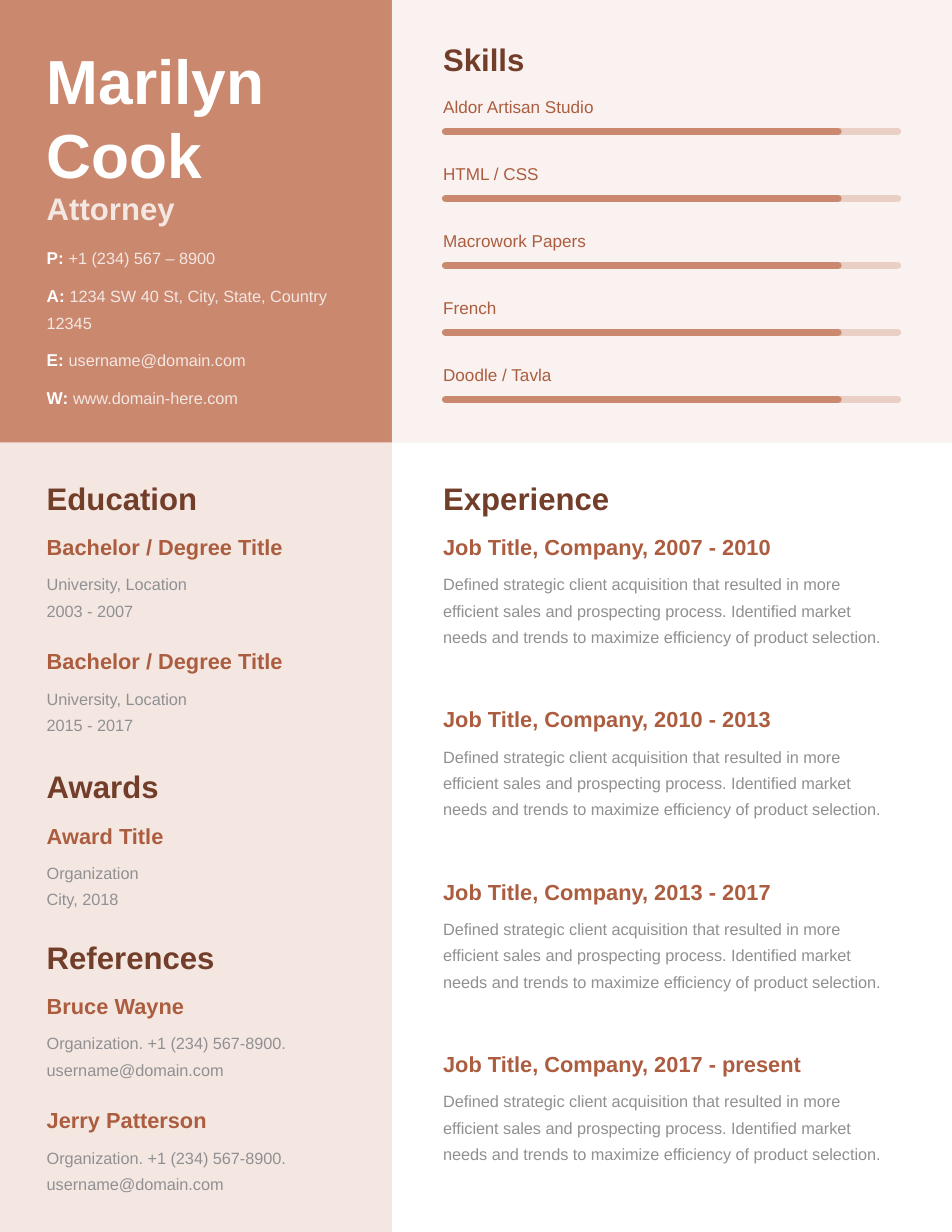
"""Build a one-page attorney résumé with contact, skill, history and reference panels."""
from lxml.etree import SubElement
from pptx import Presentation
from pptx.dml.color import RGBColor
from pptx.enum.shapes import MSO_CONNECTOR, MSO_SHAPE
from pptx.enum.text import MSO_ANCHOR as Anchor, MSO_AUTO_SIZE as AutoSize, PP_ALIGN as Align
from pptx.oxml.ns import qn
from pptx.util import Cm, Pt

COLORS = {
    "white": "FFFFFF", "clay": "CA886F", "sand": "F4E7E2", "track": "EACFC5",
    "brown": "723E2A", "rust": "AC5D3F", "gray": "909092",
}
FONT = "Arial"
PAGE_W, PAGE_H = 21.59, 27.94
SIDE_W, TOP_H = 8.89, 10.04
LEFT_X, LEFT_W = 1.06, 6.78
RIGHT_X, RIGHT_W = 10.05, 10.36
HEADING_H, HEADING_STEP = 0.86, 1.25

PANELS = [
    (0, 0, SIDE_W, TOP_H, "clay", None),
    (0, TOP_H, SIDE_W, PAGE_H - TOP_H, "sand", None),
    (SIDE_W, 0, PAGE_W - SIDE_W, TOP_H, "sand", 50),
]
PERSON = "Marilyn Cook"
CONTACTS = [
    ("P: ", "+1 (234) 567 – 8900", 1),
    ("A: ", "1234 SW 40 St, City, State, Country 12345", 2),
    ("E: ", "username@domain.com", 1),
    ("W: ", "www.domain-here.com", 1),
]
SKILLS = ["Aldor Artisan Studio", "HTML / CSS", "Macrowork Papers", "French", "Doodle / Tavla"]
DUTIES = ("Defined strategic client acquisition that resulted in more efficient sales and "
          "prospecting process. Identified market needs and trends to maximize efficiency "
          "of product selection.")
REFERENCE = "Organization. +1 (234) 567-8900. username@domain.com"
PERIODS = ["2007 - 2010", "2010 - 2013", "2013 - 2017", "2017 - present"]

HEADINGS = [
    ("Attorney", LEFT_X, 4.29, 3.23, "sand"),
    ("Skills", RIGHT_X, 0.91, 2.01, "brown"),
    ("Education", LEFT_X, 10.85, 3.66, "brown"),
    ("Awards", LEFT_X, 17.4, 2.72, "brown"),
    ("References", LEFT_X, 21.26, 4.01, "brown"),
    ("Experience", RIGHT_X, 10.85, 4.01, "brown"),
]
LEFT_ENTRY = (LEFT_X, LEFT_W, 2, 2.6)
RIGHT_ENTRY = (RIGHT_X, RIGHT_W, 3.2, 3.91)
SECTIONS = [
    (10.85, LEFT_ENTRY, [
        ("Bachelor / Degree Title", ["University, Location", "2003 - 2007"]),
        ("Bachelor / Degree Title", ["University, Location", "2015 - 2017"]),
    ]),
    (17.4, LEFT_ENTRY, [("Award Title", ["Organization", "City, 2018"])]),
    (21.26, LEFT_ENTRY, [("Bruce Wayne", [REFERENCE]), ("Jerry Patterson", [REFERENCE])]),
    (10.85, RIGHT_ENTRY, [(f"Job Title, Company, {period}", [DUTIES]) for period in PERIODS]),
]


def rgb(color):
    return RGBColor.from_string(COLORS[color])


def style(run, size, color, bold=False):
    run.font.name, run.font.size, run.font.bold = FONT, Pt(size), bold
    run.font.color.rgb = rgb(color)


def write(paragraph, *pieces, leading=None, after=None):
    paragraph.alignment = Align.LEFT
    paragraph.line_spacing, paragraph.space_after = leading, after
    for text, size, color, bold in pieces:
        run = paragraph.add_run()
        run.text = text
        style(run, size, color, bold)


def prepare(frame, anchor, wrap=True):
    frame.margin_left = frame.margin_top = frame.margin_right = frame.margin_bottom = 0
    frame.vertical_anchor = anchor
    frame.word_wrap = wrap
    frame.auto_size = AutoSize.SHAPE_TO_FIT_TEXT
    return frame


def add_text(slide, x, y, w, h, anchor, wrap=True):
    box = slide.shapes.add_textbox(Cm(x), Cm(y), Cm(w), Cm(h))
    return prepare(box.text_frame, anchor, wrap)


def add_panel(slide, x, y, w, h, color, opacity):
    panel = slide.shapes.add_shape(MSO_SHAPE.RECTANGLE, Cm(x), Cm(y), Cm(w), Cm(h))
    panel.shadow.inherit = False
    panel.line.fill.background()
    panel.fill.solid()
    panel.fill.fore_color.rgb = rgb(color)
    if opacity:
        tint = panel._element.spPr.find(f".//{qn('a:srgbClr')}")
        SubElement(tint, qn("a:alpha")).set("val", str(opacity * 1000))
    return panel


def add_bar(slide, end, y, color):
    bar = slide.shapes.add_connector(MSO_CONNECTOR.STRAIGHT, Cm(10.11), Cm(y), Cm(end), Cm(y))
    bar.line.width = Pt(5)
    bar.line.color.rgb = rgb(color)
    bar.line._get_or_add_ln().set("cap", "rnd")
    SubElement(bar._element.spPr, qn("a:effectLst"))


def add_name(slide, backdrop):
    name = slide.shapes.title
    backdrop._element.addnext(name._element)
    name.left, name.top, name.width, name.height = Cm(LEFT_X), Cm(0.91), Cm(LEFT_W), Cm(3.43)
    frame = prepare(name.text_frame, Anchor.BOTTOM)
    write(frame.paragraphs[0], (PERSON, 40, "white", True), leading=1.0)


def add_contacts(slide):
    top = 5.48
    for label, value, lines in CONTACTS:
        frame = add_text(slide, LEFT_X, top, LEFT_W, 0.6 * lines, Anchor.MIDDLE)
        write(frame.paragraphs[0], (label, 11, "white", True), (value, 10.5, "sand", False),
              leading=Pt(17))
        top += 0.6 * lines + 0.26


def add_skills(slide):
    for row, skill in enumerate(SKILLS):
        top = 2.18 + 1.52 * row
        frame = add_text(slide, RIGHT_X, top, RIGHT_W, 0.48, Anchor.BOTTOM)
        write(frame.paragraphs[0], (skill, 11, "rust", False), after=Pt(5))
        for end, color in ((20.35, "track"), (19, "clay")):
            add_bar(slide, end, top + 0.8, color)


def add_section(slide, heading_top, entry_grid, entries):
    x, w, h, pitch = entry_grid
    for row, (title, details) in enumerate(entries):
        frame = add_text(slide, x, heading_top + HEADING_STEP + pitch * row, w, h, Anchor.TOP)
        write(frame.paragraphs[0], (title, 14, "rust", True), after=Pt(5))
        for detail in details:
            write(frame.add_paragraph(), (detail, 10.5, "gray", False), leading=Pt(17))


def main():
    deck = Presentation()
    deck.slide_width, deck.slide_height = Cm(PAGE_W), Cm(PAGE_H)
    slide = deck.slides.add_slide(deck.slide_layouts[5])
    panels = [add_panel(slide, *panel) for panel in PANELS]
    add_name(slide, panels[-1])
    add_contacts(slide)
    add_skills(slide)
    for text, x, y, w, color in HEADINGS:
        frame = add_text(slide, x, y, w, HEADING_H, Anchor.BOTTOM, wrap=False)
        write(frame.paragraphs[0], (text, 20, color, True))
    for section in SECTIONS:
        add_section(slide, *section)
    deck.save("out.pptx")


if __name__ == "__main__":
    main()
